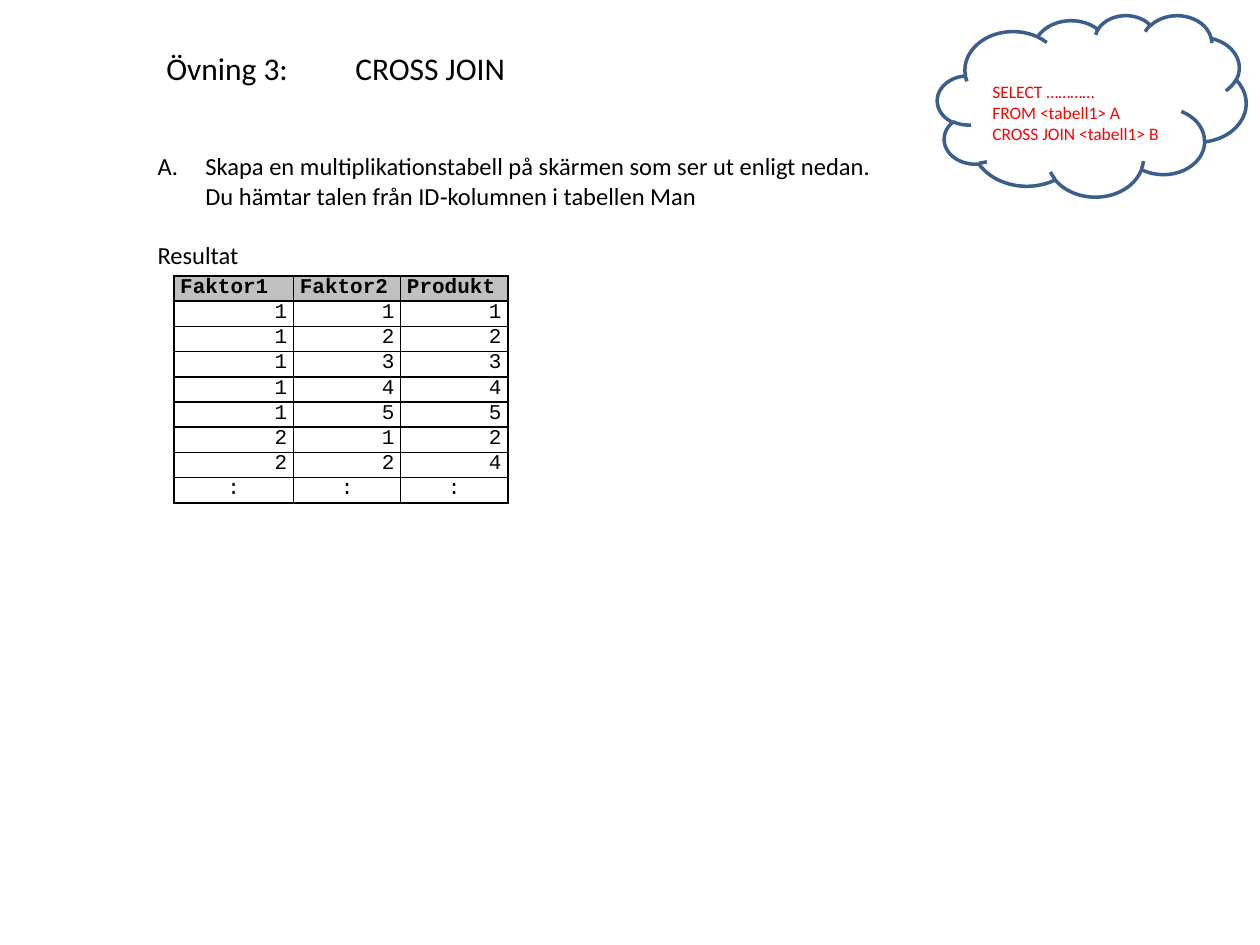
"""Builds the exercise slide about CROSS JOIN with a multiplication table."""
import copy
import dataclasses

import pptx
import pptx.dml.color
import pptx.enum.shapes
import pptx.enum.text
import pptx.oxml
import pptx.oxml.ns
import pptx.util

Inches = pptx.util.Inches
Pt = pptx.util.Pt
Align = pptx.enum.text.PP_ALIGN
Anchor = pptx.enum.text.MSO_ANCHOR
qn = pptx.oxml.ns.qn


@dataclasses.dataclass(frozen=True)
class Theme:
    text: str = "000000"
    accent: str = "FF0000"
    outline: str = "3A5F8C"
    header: str = "C0C0C0"
    paper: str = "FFFFFF"
    font: str = "Calibri"
    code_font: str = "Courier New"
    title_size: int = 18
    body_size: int = 14
    table_size: int = 12
    note_size: int = 10


def rgb(value):
    return pptx.dml.color.RGBColor.from_string(value)


def xml(tag, inner="", **attributes):
    listed = "".join(f' {name}="{value}"' for name, value in attributes.items())
    return pptx.oxml.parse_xml(f"<a:{tag} {pptx.oxml.ns.nsdecls('a')}{listed}>{inner}</a:{tag}>")


def write(para, text, font, size, color, bold=False, align=Align.LEFT, before=0):
    para.alignment = align
    para.space_before = Pt(before)
    for index, line in enumerate(text.split("\n")):
        if index:
            para.add_line_break()
        span = para.add_run()
        span.text = line
        span.font.name = font
        span.font.size = Pt(size)
        span.font.bold = bold
        span.font.color.rgb = rgb(color)
    for line_break in para._p.findall(qn("a:br")):
        line_break.append(copy.deepcopy(span._r.find(qn("a:rPr"))))


class SlideBuilder:
    def __init__(self, page, theme):
        self.page = page
        self.theme = theme

    def place(self, box, left, top, width, height):
        box.left, box.top = Inches(left), Inches(top)
        box.width, box.height = Inches(width), Inches(height)
        box.text_frame.vertical_anchor = Anchor.TOP
        box.text_frame.auto_size = pptx.enum.text.MSO_AUTO_SIZE.NONE

    def title(self, text, *bounds):
        box = self.page.shapes.title
        self.place(box, *bounds)
        box.text_frame.word_wrap = False
        write(box.text_frame.paragraphs[0], text, self.theme.font,
              self.theme.title_size, self.theme.text)

    def body(self, task, caption, *bounds):
        box = self.page.placeholders[1]
        self.place(box, *bounds)
        style = (self.theme.font, self.theme.body_size, self.theme.text)
        first = box.text_frame.paragraphs[0]
        write(first, task, *style)
        second = box.text_frame.add_paragraph()
        write(second, caption, *style, before=17)
        for para, indent, bullet in (
            (first, 0.38, xml("buAutoNum", type="alphaUcPeriod")),
            (second, 0, xml("buNone")),
        ):
            properties = para._p.get_or_add_pPr()
            properties.set("marL", str(Inches(indent)))
            properties.set("indent", str(-Inches(indent)))
            properties.append(bullet)

    def cloud(self, lines, *bounds):
        box = self.page.shapes.add_shape(
            pptx.enum.shapes.MSO_SHAPE.CLOUD, *map(Inches, bounds))
        box.shadow.inherit = False
        box.fill.background()
        box.line.color.rgb = rgb(self.theme.outline)
        box.line.width = Pt(2)
        frame = box.text_frame
        frame.word_wrap = True
        frame.vertical_anchor = Anchor.MIDDLE
        frame.margin_top = Inches(0.22)
        for index, line in enumerate(lines):
            para = frame.add_paragraph() if index else frame.paragraphs[0]
            write(para, line, self.theme.font, self.theme.note_size, self.theme.accent)

    def table(self, rows, widths, row_height, left, top):
        grid = self.page.shapes.add_table(
            len(rows), len(widths), Inches(left), Inches(top),
            Inches(sum(widths)), Inches(row_height * len(rows))).table
        for column, width in zip(grid.columns, widths):
            column.width = Inches(width)
        for row_index, values in enumerate(rows):
            grid.rows[row_index].height = Inches(row_height)
            for column_index, value in enumerate(values):
                self.cell(grid.cell(row_index, column_index), str(value), row_index == 0)

    def cell(self, cell, text, header):
        cell.margin_left = cell.margin_right = Inches(0.05)
        cell.margin_top = cell.margin_bottom = 0
        align = Align.LEFT if header else Align.RIGHT if text.isdigit() else Align.CENTER
        write(cell.text_frame.paragraphs[0], text, self.theme.code_font,
              self.theme.table_size, self.theme.text, bold=header, align=align)
        properties = cell._tc.get_or_add_tcPr()
        line = f'<a:solidFill><a:srgbClr val="{self.theme.text}"/></a:solidFill>'
        for side in ("lnL", "lnR", "lnT", "lnB"):
            properties.append(xml(side, line, w=Pt(1)))
        cell.fill.solid()
        cell.fill.fore_color.rgb = rgb(self.theme.header if header else self.theme.paper)


deck = pptx.Presentation()
deck.slide_width, deck.slide_height = Inches(10), Inches(7.5)
slide = SlideBuilder(deck.slides.add_slide(deck.slide_layouts[1]), Theme())

slide.body(
    "Skapa en multiplikationstabell på skärmen som ser ut enligt nedan. \n"
    "Du hämtar talen från ID\u2011kolumnen i tabellen Man",
    "Resultat", 1.15, 1.15, 8.58, 1.04)
slide.title("Övning 3:\t\tCROSS JOIN", 1.22, 0.34, 3.42, 0.4)
slide.cloud(["SELECT …………", "FROM <tabell1> A", "CROSS JOIN <tabell1> B"],
            7.44, 0.12, 2.45, 1.44)

factors = [(1, second) for second in range(1, 6)] + [(2, 1), (2, 2)]
products = [(first, second, first * second) for first, second in factors]
slide.table([("Faktor1", "Faktor2", "Produkt"), *products, (":", ":", ":")],
            [0.95, 0.85, 0.85], 0.2, 1.38, 2.19)

deck.save("out.pptx")
